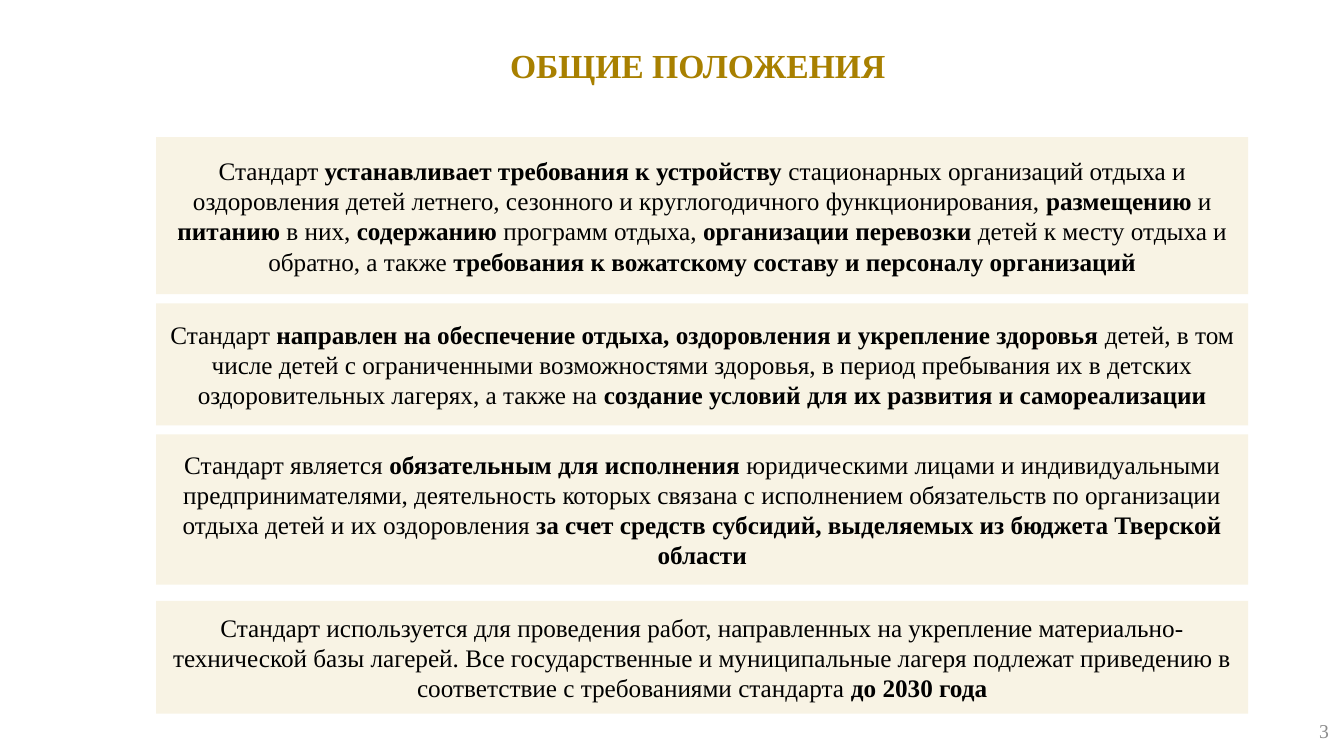
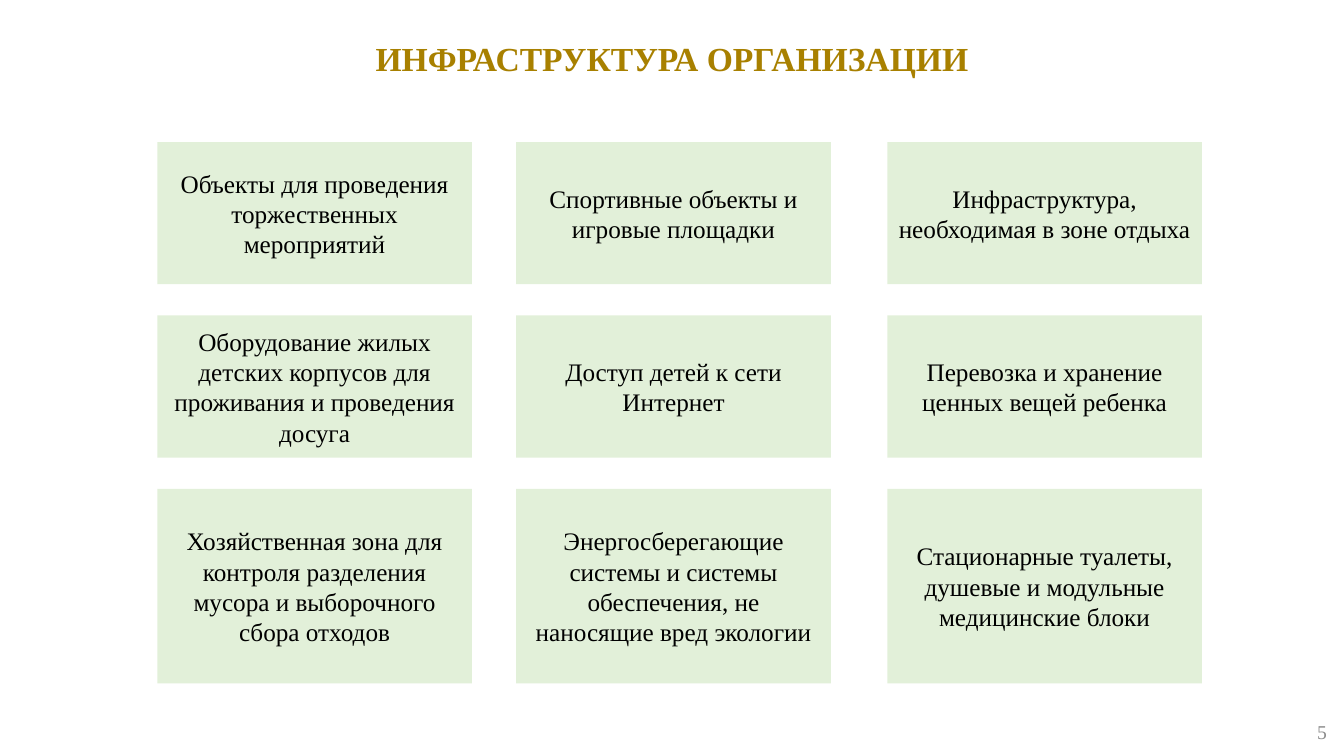
from pptx import Presentation
from pptx.dml.color import RGBColor
from pptx.enum.shapes import MSO_SHAPE
from pptx.enum.text import MSO_ANCHOR, PP_ALIGN
from pptx.util import Inches, Pt

FONT = "Times New Roman"
GOLD = RGBColor(0xA8, 0x80, 0x00)
GRAY = RGBColor(0x8C, 0x8C, 0x8C)
BLACK = RGBColor(0x00, 0x00, 0x00)
CREAM = RGBColor(0xF8, 0xF3, 0xE4)
GREEN = RGBColor(0xE2, 0xF0, 0xD9)

prs = Presentation()
prs.slide_width = Inches(13.33)
prs.slide_height = Inches(7.5)


def add_text(slide, box, runs, size=18, color=BLACK, fill=None,
             align=PP_ALIGN.CENTER, anchor=MSO_ANCHOR.MIDDLE, insets=(0.1, 0.05)):
    left, top, width, height = [Inches(length) for length in box]
    if fill is None:
        block = slide.shapes.add_textbox(left, top, width, height)
    else:
        block = slide.shapes.add_shape(MSO_SHAPE.RECTANGLE, left, top, width, height)
        block.shadow.inherit = False
        block.fill.solid()
        block.fill.fore_color.rgb = fill
        block.line.fill.background()
    frame = block.text_frame
    frame.word_wrap = True
    frame.vertical_anchor = anchor
    frame.margin_left = frame.margin_right = Inches(insets[0])
    frame.margin_top = frame.margin_bottom = Inches(insets[1])
    paragraph = frame.paragraphs[0]
    paragraph.alignment = align
    for text, bold in runs:
        run = paragraph.add_run()
        run.text = text
        run.font.name = FONT
        run.font.size = Pt(size)
        run.font.bold = bold
        run.font.color.rgb = color


def add_page(title, title_box, number, number_box):
    slide = prs.slides.add_slide(prs.slide_layouts[6])
    add_text(slide, title_box, [(title, True)], 24, GOLD,
             anchor=MSO_ANCHOR.TOP, insets=(0.07, 0.04))
    add_text(slide, number_box, [(number, False)], 14, GRAY, align=PP_ALIGN.RIGHT)
    return slide


provisions = [
    (1.36, 1.56, [
        ("Стандарт ", False),
        ("устанавливает требования к устройству ", True),
        ("стационарных организаций отдыха и оздоровления детей летнего, "
         "сезонного и круглогодичного функционирования, ", False),
        ("размещению", True),
        (" и ", False),
        ("питанию ", True),
        ("в них, ", False),
        ("содержанию", True),
        (" программ отдыха, ", False),
        ("организации перевозки ", True),
        ("детей к месту отдыха и обратно, а также ", False),
        ("требования к вожатскому составу и персоналу организаций", True),
    ]),
    (3.01, 1.21, [
        ("Стандарт ", False),
        ("направлен на обеспечение отдыха, оздоровления и укрепление здоровья ", True),
        ("детей, в том числе детей с ограниченными возможностями здоровья, "
         "в период пребывания их в детских оздоровительных лагерях, а также на ", False),
        ("создание условий для их развития и самореализации", True),
    ]),
    (4.31, 1.49, [
        ("Стандарт является ", False),
        ("обязательным для исполнения ", True),
        ("юридическими лицами и индивидуальными предпринимателями, деятельность "
         "которых связана с исполнением обязательств по организации отдыха детей "
         "и их оздоровления ", False),
        ("за счет средств субсидий, выделяемых из бюджета Тверской области", True),
    ]),
    (5.96, 1.12, [
        ("Стандарт используется для проведения работ, направленных на укрепление "
         "материально-технической базы лагерей. Все государственные и муниципальные "
         "лагеря подлежат приведению в соответствие с требованиями стандарта ", False),
        ("до 2030 года", True),
    ]),
]

general = add_page("ОБЩИЕ ПОЛОЖЕНИЯ", (1.28, 0.41, 11.28, 0.79),
                   "3", (10.28, 7.05, 3, 0.4))
for top, height, runs in provisions:
    add_text(general, (1.55, top, 10.83, height), runs, fill=CREAM, insets=(0.08, 0.04))

column_lefts = [1.56, 5.12, 8.8]
facility_rows = [
    (1.41, 1.41, ["Объекты для проведения торжественных мероприятий",
                  "Спортивные объекты и игровые площадки",
                  "Инфраструктура, необходимая в зоне отдыха"]),
    (3.13, 1.41, ["Оборудование жилых детских корпусов для проживания и проведения досуга",
                  "Доступ детей к сети Интернет",
                  "Перевозка и хранение ценных вещей ребенка"]),
    (4.85, 1.93, ["Хозяйственная зона для контроля разделения мусора и выборочного сбора отходов",
                  "Энергосберегающие системы и системы обеспечения, не наносящие вред экологии",
                  "Стационарные туалеты, душевые и модульные медицинские блоки"]),
]

infrastructure = add_page("ИНФРАСТРУКТУРА ОРГАНИЗАЦИИ", (1.41, 0.34, 10.51, 0.79),
                          "5", (10.26, 7.06, 3, 0.4))
for top, height, facilities in facility_rows:
    for left, facility in zip(column_lefts, facilities):
        add_text(infrastructure, (left, top, 3.12, height), [(facility, False)], fill=GREEN)

prs.save("out.pptx")
